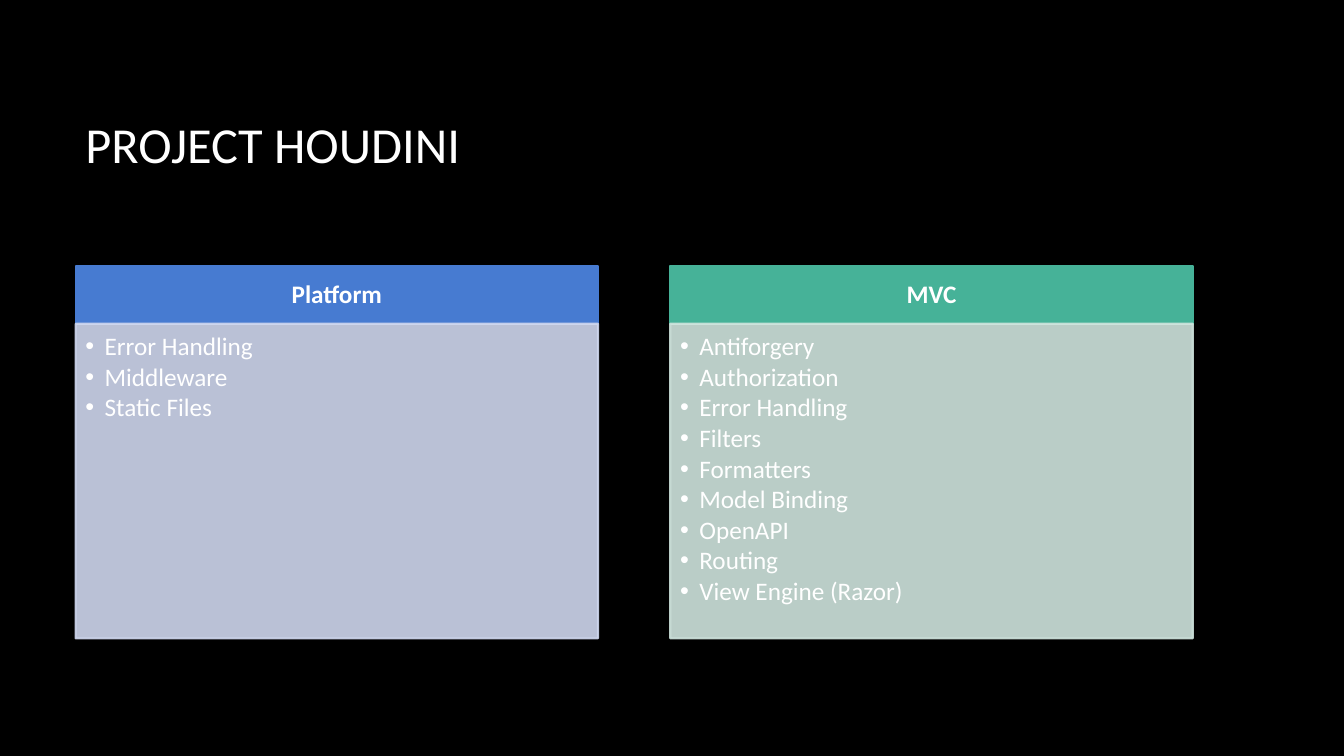
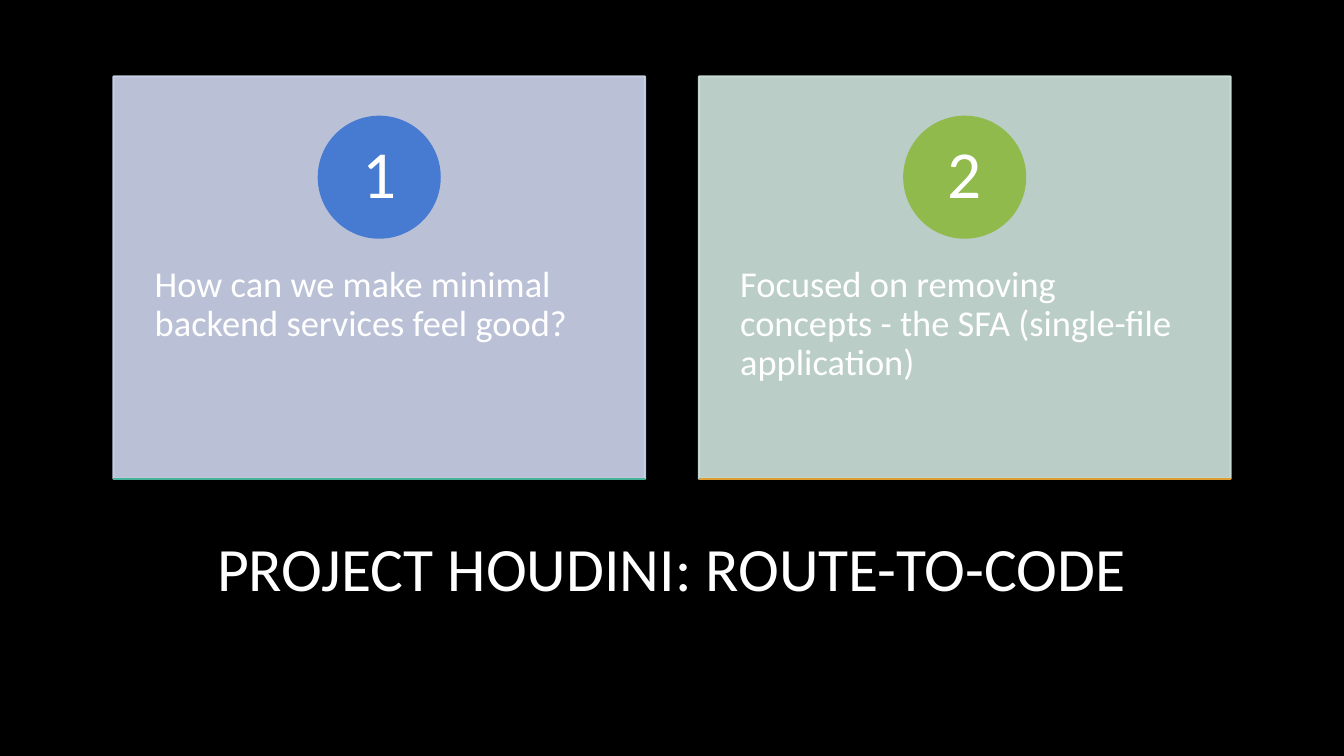
from dataclasses import dataclass

from lxml import etree
from pptx import Presentation
from pptx import util as u
from pptx.dml.color import RGBColor
from pptx.enum import shapes, text
from pptx.oxml import ns

UNIT = u.Inches(1) / 12
COLUMNS, ROWS = 160, 90
CONTENT_WIDTH = 133
FONT = "Calibri"
COLORS = {
    "background": "000000",
    "text": "FFFFFF",
    "blue": "477BD1",
    "teal": "46B298",
    "green": "90BA4C",
    "amber": "DD9D31",
    "pale_blue": "CFD7EE",
    "pale_teal": "CFE4DD",
}


@dataclass
class Box:
    left: float
    top: float
    width: float
    height: float

    def emu(self):
        return [round(value * UNIT) for value in (self.left, self.top, self.width, self.height)]

    def columns(self, count, gap):
        width = (self.width - gap * (count - 1)) / count
        return [Box(self.left + index * (width + gap), self.top, width, self.height)
                for index in range(count)]

    def split_rows(self, first):
        return (Box(self.left, self.top, self.width, first),
                Box(self.left, self.top + first, self.width, self.height - first))


def color(name):
    return RGBColor.from_string(COLORS[name])


def set_opacity(shape, percent):
    for element in shape._element.spPr.iter(ns.qn("a:srgbClr")):
        etree.SubElement(element, ns.qn("a:alpha"), val=str(percent * 1000))


def add_panel(slide, box, fill, opacity=100, kind=shapes.MSO_SHAPE.RECTANGLE):
    shape = slide.shapes.add_shape(kind, *box.emu())
    shape.shadow.inherit = False
    shape.fill.solid()
    shape.fill.fore_color.rgb = color(fill)
    shape.line.color.rgb = color(fill)
    shape.line.width = u.Pt(1.5)
    if opacity < 100:
        set_opacity(shape, opacity)
    return shape


def add_bullet(paragraph):
    properties = paragraph._p.get_or_add_pPr()
    indent = u.Inches(0.19)
    properties.set("marL", str(indent))
    properties.set("indent", str(-indent))
    etree.SubElement(properties, ns.qn("a:buFont"), typeface="Arial")
    etree.SubElement(properties, ns.qn("a:buChar"), char="•")


def write(shape, lines, size, insets=(0.1, 0.05, 0.1, 0.05), align=text.PP_ALIGN.LEFT,
          anchor=text.MSO_ANCHOR.MIDDLE, spacing=0.9, after=0, bold=False, bullets=False):
    frame = shape.text_frame
    frame.word_wrap = True
    frame.vertical_anchor = anchor
    (frame.margin_left, frame.margin_top,
     frame.margin_right, frame.margin_bottom) = map(u.Inches, insets)
    for index, line in enumerate(lines):
        paragraph = frame.add_paragraph() if index else frame.paragraphs[0]
        paragraph.alignment = align
        paragraph.line_spacing = spacing
        paragraph.space_after = u.Pt(after)
        if bullets:
            add_bullet(paragraph)
        run = paragraph.add_run()
        run.text = line
        run.font.name = FONT
        run.font.size = u.Pt(size)
        run.font.bold = bold
        run.font.color.rgb = color("text")


def add_slide(presentation, title, title_box, title_size, align):
    slide = presentation.slides.add_slide(presentation.slide_layouts[6])
    slide.background.fill.solid()
    slide.background.fill.fore_color.rgb = color("background")
    write(slide.shapes.add_textbox(*title_box.emu()), [title], title_size, align=align)
    return slide


def add_list_column(slide, box, heading, items, accent, pale):
    header, body = box.split_rows(6.84)
    write(add_panel(slide, header, accent), [heading], 18, (0.14, 0.08, 0.14, 0.08),
          align=text.PP_ALIGN.CENTER, bold=True)
    write(add_panel(slide, body, pale, 90), items, 18, (0.1, 0.1, 0.14, 0.16),
          anchor=text.MSO_ANCHOR.TOP, after=2.4, bullets=True)


def add_base_line(slide, box, accent):
    left, top, width, height = box.emu()
    line = slide.shapes.add_connector(shapes.MSO_CONNECTOR.STRAIGHT,
                                      left, top + height, left + width, top + height)
    line.line.color.rgb = color(accent)
    line.line.width = u.Pt(1.5)
    etree.SubElement(line._element.spPr, ns.qn("a:effectLst"))


def add_numbered_card(slide, box, number, sentence, pale, badge_color, base_color):
    write(add_panel(slide, box, pale, 90), [sentence], 26, (0.41, 1.88, 0.41, 0.36),
          anchor=text.MSO_ANCHOR.TOP)
    diameter = 14.4
    badge = Box(box.left + (box.width - diameter) / 2, box.top + 4.8, diameter, diameter)
    write(add_panel(slide, badge, badge_color, kind=shapes.MSO_SHAPE.OVAL), [str(number)], 48,
          (0.09, 0.01, 0.09, 0.01), align=text.PP_ALIGN.CENTER)
    add_base_line(slide, box, base_color)


def build_list_slide(presentation):
    slide = add_slide(presentation, "PROJECT HOUDINI", Box(9, 8, CONTENT_WIDTH, 19.1),
                      36, text.PP_ALIGN.LEFT)
    lists = [
        ("Platform", ["Error Handling", "Middleware", "Static Files"], "blue", "pale_blue"),
        ("MVC", ["Antiforgery", "Authorization", "Error Handling", "Filters", "Formatters",
                 "Model Binding", "OpenAPI", "Routing", "View Engine (Razor)"],
         "teal", "pale_teal"),
    ]
    area = Box(9, 31.7, CONTENT_WIDTH, 44.3)
    for box, content in zip(area.columns(len(lists), 8.6), lists):
        add_list_column(slide, box, *content)


def build_card_slide(presentation):
    slide = add_slide(presentation, "PROJECT HOUDINI: ROUTE-TO-CODE",
                      Box(13.5, 60, CONTENT_WIDTH, 16), 44, text.PP_ALIGN.CENTER)
    cards = [
        ("How can we make minimal backend services feel good?", "pale_blue", "blue", "teal"),
        ("Focused on removing concepts - the SFA (single-file application)",
         "pale_teal", "green", "amber"),
    ]
    area = Box(13.5, 9.1, CONTENT_WIDTH, 47.9)
    for number, (box, content) in enumerate(zip(area.columns(len(cards), 6.4), cards), 1):
        add_numbered_card(slide, box, number, *content)


def main():
    presentation = Presentation()
    presentation.slide_width = round(COLUMNS * UNIT)
    presentation.slide_height = round(ROWS * UNIT)
    build_list_slide(presentation)
    build_card_slide(presentation)
    presentation.save("out.pptx")


if __name__ == "__main__":
    main()
